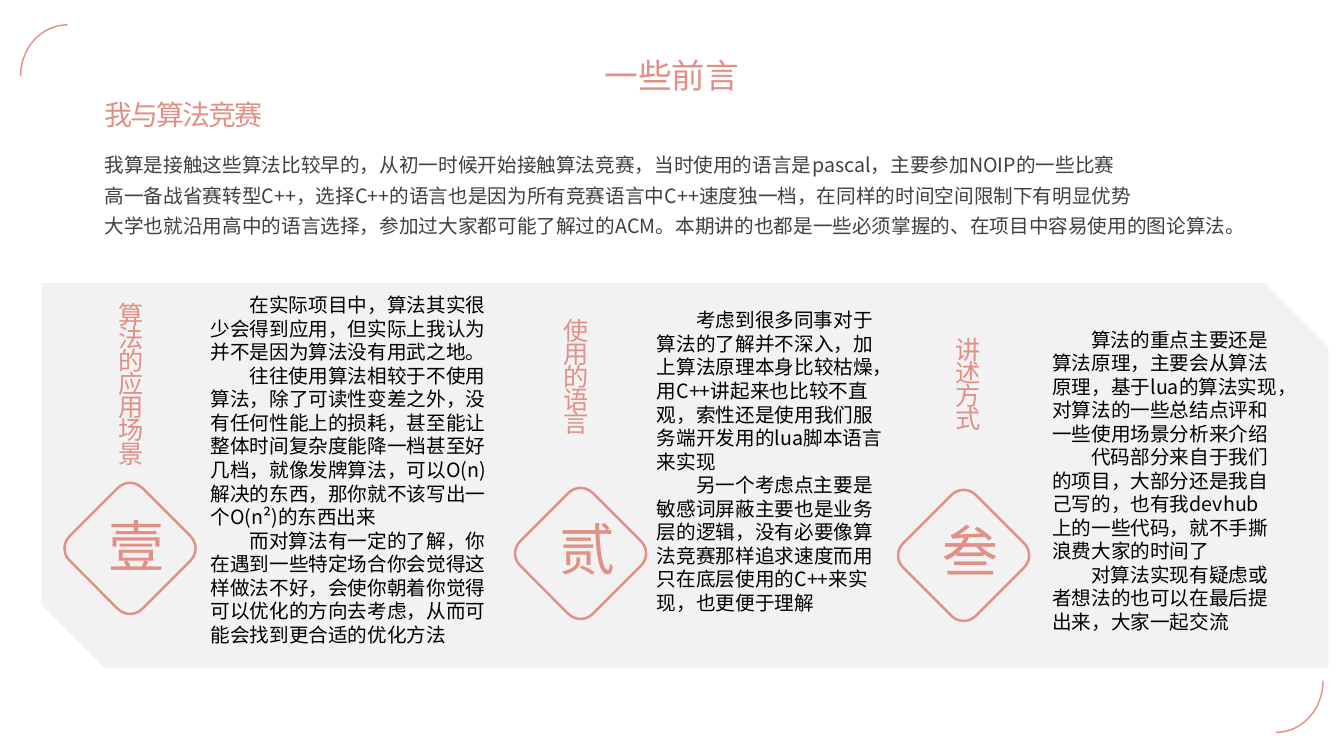
from dataclasses import dataclass

from lxml.etree import SubElement
from pptx import Presentation
from pptx.dml.color import RGBColor
from pptx.enum.shapes import MSO_SHAPE
from pptx.enum.text import MSO_AUTO_SIZE, PP_ALIGN
from pptx.oxml.ns import qn
from pptx.shapes.autoshape import Shape
from pptx.slide import Slide
from pptx.util import Pt

CORAL = RGBColor(0xE0, 0x90, 0x85)
DARK = RGBColor(0x40, 0x40, 0x40)
BLACK = RGBColor(0, 0, 0)
PANEL = RGBColor(0xF2, 0xF2, 0xF2)
FONT = "Noto Sans CJK JP"
INDENT = 28
DIAMOND = 73.4
NUMERAL = 63.4


@dataclass(frozen=True)
class Box:
    left: float
    top: float
    width: float
    height: float


@dataclass(frozen=True)
class Style:
    size: float
    color: RGBColor
    line_spacing: float = 1.0
    tracking: float = 0
    indent: float = 0
    vertical: bool = False
    align: PP_ALIGN = PP_ALIGN.LEFT


@dataclass(frozen=True)
class Topic:
    numeral: str
    heading: str
    heading_box: Box
    diamond_left: float
    diamond_top: float
    numeral_top: float
    body_box: Box
    body: tuple[str, ...]


TITLE = Style(24, CORAL, align=PP_ALIGN.CENTER)
SUBTITLE = Style(20, CORAL, line_spacing=1.2, tracking=-1.5)
INTRO = Style(14, DARK, line_spacing=1.3)
HEADING = Style(18, CORAL, line_spacing=1.2, tracking=-1.5, vertical=True)
NUMBER = Style(40, CORAL, vertical=True)
BODY = Style(14, BLACK, indent=INDENT)

INTRO_LINES = (
    "我算是接触这些算法比较早的，从初一时候开始接触算法竞赛，当时使用的语言是pascal，主要参加NOIP的一些比赛",
    "高一备战省赛转型C++，选择C++的语言也是因为所有竞赛语言中C++速度独一档，在同样的时间空间限制下有明显优势",
    "大学也就沿用高中的语言选择，参加过大家都可能了解过的ACM。本期讲的也都是一些必须掌握的、在项目中容易使用的图论算法。",
)

TOPICS = (
    Topic("壹", "算法的应用场景", Box(70.6, 208.8, 41, 143.3), 56.2, 355, 362.9,
          Box(143.3, 205.9, 213.1, 262.1), (
        "在实际项目中，算法其实很少会得到应用，但实际上我认为并不是因为算法没有用武之地。",
        "往往使用算法相较于不使用算法，除了可读性变差之外，没有任何性能上的损耗，甚至能让整体时间复杂度能降一档甚至好几档，就像发牌算法，可以O(n)解决的东西，那你就不该写出一个O(n²)的东西出来",
        "而对算法有一定的了解，你在遇到一些特定场合你会觉得这样做法不好，会使你朝着你觉得可以优化的方向去考虑，从而可能会找到更合适的优化方法",
    )),
    Topic("贰", "使用的语言", Box(388.8, 220.3, 41, 104.4), 378, 358.6, 365,
          Box(462.2, 216.7, 175, 227.5), (
        "考虑到很多同事对于算法的了解并不深入，加上算法原理本身比较枯燥，用C++讲起来也比较不直观，索性还是使用我们服务端开发用的lua脚本语言来实现",
        "另一个考虑点主要是敏感词屏蔽主要也是业务层的逻辑，没有必要像算法竞赛那样追求速度而用只在底层使用的C++来实现，也更便于理解",
    )),
    Topic("叁", "讲述方式", Box(668.2, 234, 41, 105.8), 651.6, 360, 366.5,
          Box(744.5, 230.4, 175, 227.5), (
        "算法的重点主要还是算法原理，主要会从算法原理，基于lua的算法实现，对算法的一些总结点评和一些使用场景分析来介绍",
        "代码部分来自于我们的项目，大部分还是我自己写的，也有我devhub上的一些代码，就不手撕浪费大家的时间了",
        "对算法实现有疑虑或者想法的也可以在最后提出来，大家一起交流",
    )),
)


def add_text(s: Slide, box: Box, lines: tuple[str, ...], style: Style) -> None:
    sp = s.shapes.add_textbox(Pt(box.left), Pt(box.top), Pt(box.width), Pt(box.height))
    tf = sp.text_frame
    tf.word_wrap = True
    tf.auto_size = MSO_AUTO_SIZE.SHAPE_TO_FIT_TEXT
    if style.vertical:
        sp.element.txBody.bodyPr.set("vert", "eaVert")
    for i, line in enumerate(lines):
        p = tf.add_paragraph() if i else tf.paragraphs[0]
        for name, value in {"alignment": style.align, "line_spacing": style.line_spacing}.items():
            setattr(p, name, value)
        if style.indent:
            pPr = p._p.get_or_add_pPr()
            pPr.set("marL", "0")
            pPr.set("indent", str(Pt(style.indent)))
        r = p.add_run()
        r.text = line
        for name, value in {"size": Pt(style.size), "name": FONT}.items():
            setattr(r.font, name, value)
        r.font.color.rgb = style.color
        rPr = r._r.get_or_add_rPr()
        SubElement(rPr, qn("a:ea")).set("typeface", FONT)
        if style.tracking:
            rPr.set("spc", str(int(style.tracking * 100)))


def add_shape(s: Slide, kind: MSO_SHAPE, box: Box, rotation: float = 0) -> Shape:
    sp = s.shapes.add_shape(kind, Pt(box.left), Pt(box.top), Pt(box.width), Pt(box.height))
    sp.shadow.inherit = False
    sp.rotation = rotation
    return sp


def add_outline(s: Slide, kind: MSO_SHAPE, box: Box, rotation: float, weight: float) -> None:
    sp = add_shape(s, kind, box, rotation)
    sp.fill.background()
    sp.line.color.rgb = CORAL
    sp.line.width = Pt(weight)


def add_topic(s: Slide, topic: Topic) -> None:
    diamond = Box(topic.diamond_left, topic.diamond_top, DIAMOND, DIAMOND)
    numeral = Box(topic.diamond_left + 4.3, topic.numeral_top, NUMERAL, NUMERAL)
    add_text(s, numeral, (topic.numeral,), NUMBER)
    add_outline(s, MSO_SHAPE.ROUNDED_RECTANGLE, diamond, 315, 1.75)
    add_text(s, topic.heading_box, (topic.heading,), HEADING)
    add_text(s, topic.body_box, topic.body, BODY)


def main() -> None:
    prs = Presentation()
    prs.slide_width, prs.slide_height = Pt(960), Pt(540)
    s = prs.slides.add_slide(prs.slide_layouts[6])

    add_text(s, Box(370.8, 36, 218.2, 36), ("一些前言",), TITLE)
    for left, top, rotation in ((11.5, 20.9, 270), (874.8, 452.9, 90)):
        add_outline(s, MSO_SHAPE.ARC, Box(left, top, 73.4, 67), rotation, 1)

    panel = add_shape(s, MSO_SHAPE.SNIP_2_DIAG_RECTANGLE, Box(29.5, 202.3, 919.4, 275))
    panel.fill.solid()
    panel.fill.fore_color.rgb = PANEL
    panel.line.fill.background()

    add_text(s, Box(67.7, 61.2, 171.4, 34.6), ("我与算法竞赛",), SUBTITLE)
    add_text(s, Box(67.7, 100.8, 843.8, 71.3), INTRO_LINES, INTRO)
    for topic in TOPICS:
        add_topic(s, topic)

    prs.save("out.pptx")


if __name__ == "__main__":
    main()
